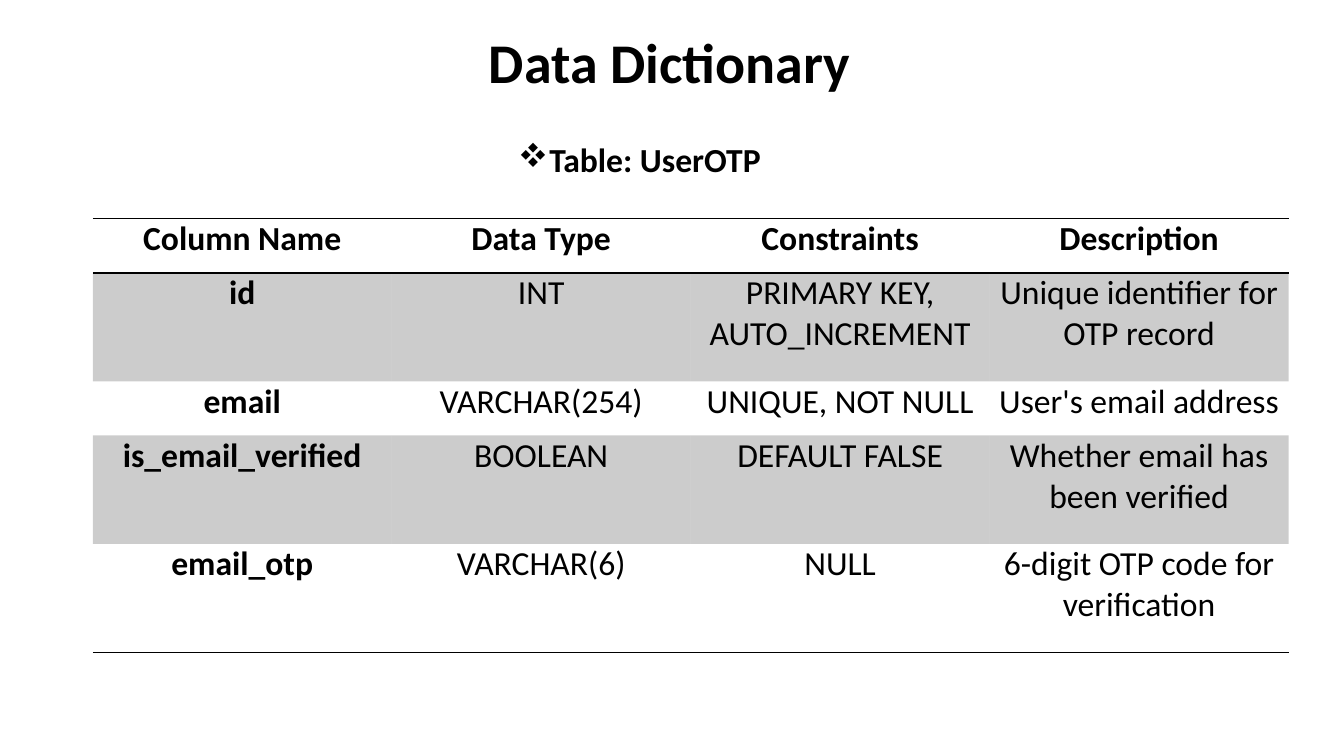
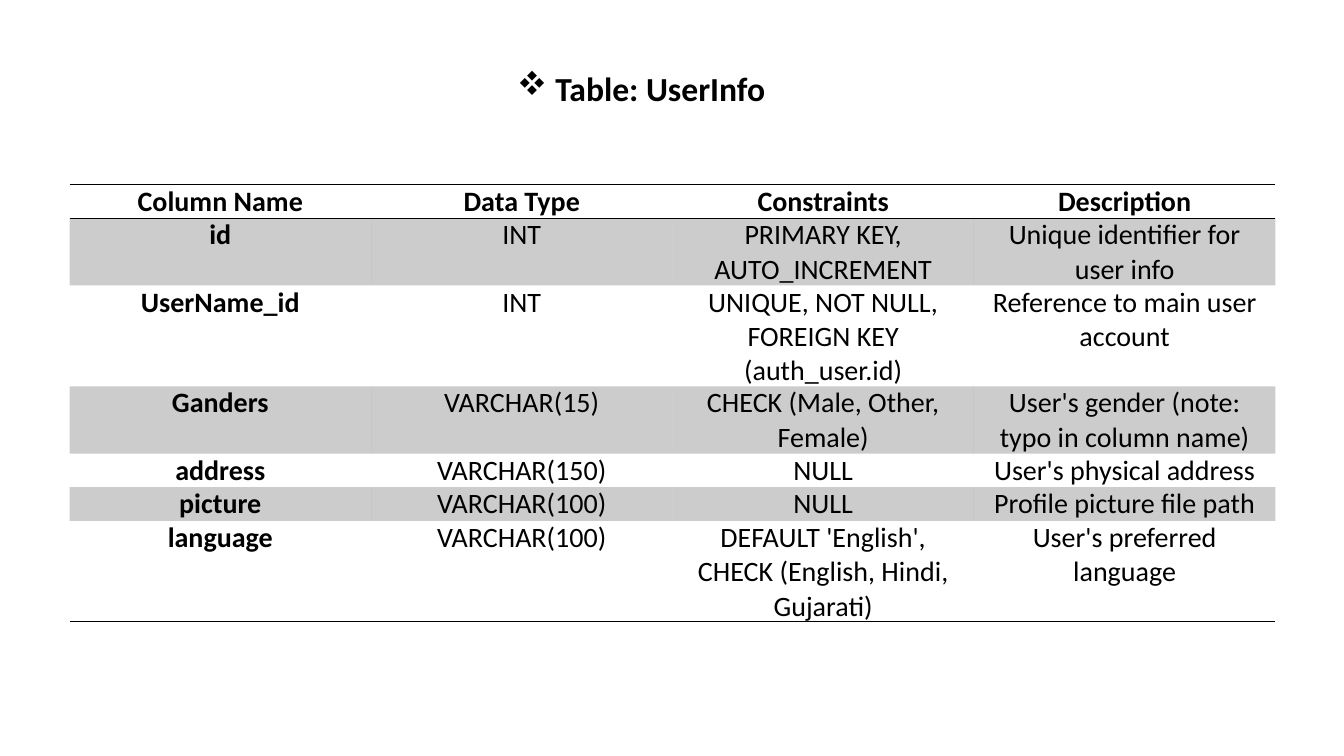
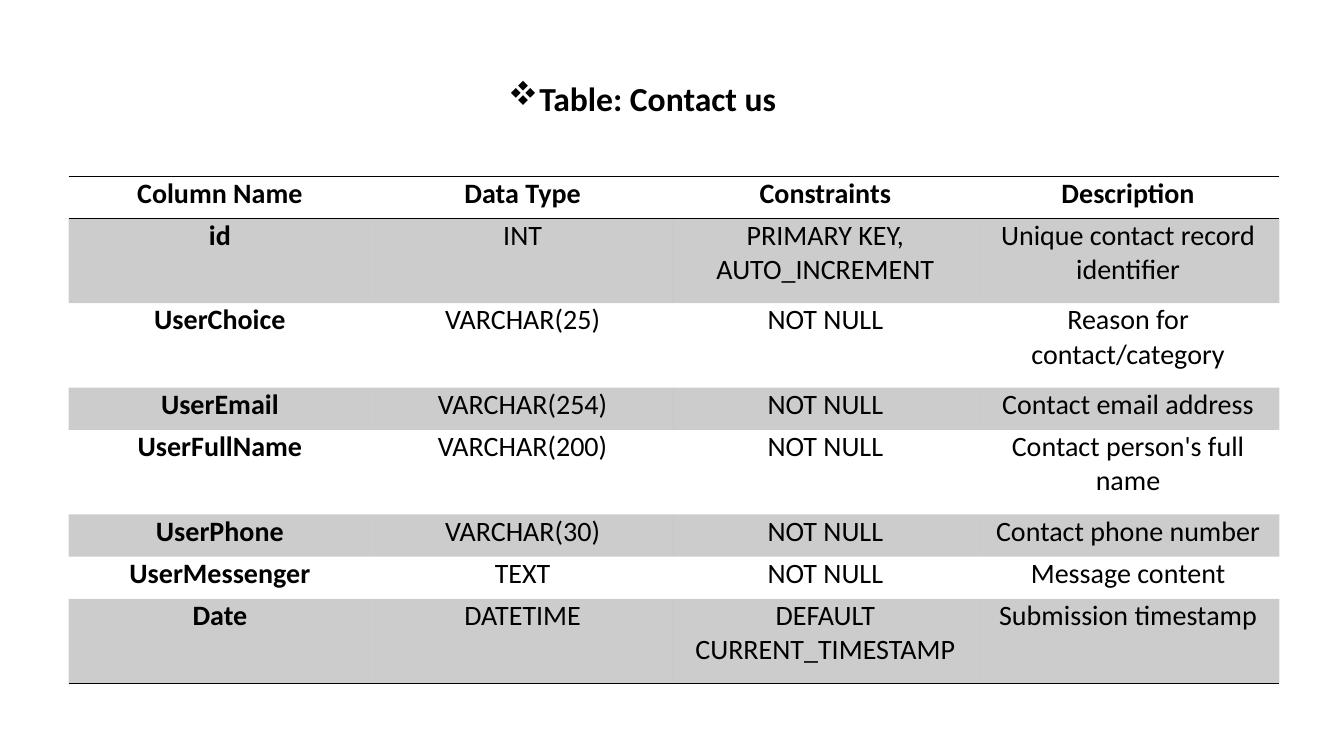
from dataclasses import dataclass

from lxml import etree
from pptx import Presentation
from pptx.dml.color import RGBColor
from pptx.enum import text
from pptx.oxml import ns
from pptx import util as u


@dataclass(frozen=True)
class Theme:
    font: str = "Calibri"
    ink: str = "000000"
    band_alpha: int = 20        # percent
    title_size: int = 40
    caption_size: int = 24
    rule_width: int = 1         # points
    cell_margin: int = 8        # px
    bullet_font: str = "Wingdings"
    bullet: str = "v"           # four diamonds in the bullet font
    table_style: str = "{2D5ABB26-0587-4C30-8999-92F81FD0307C}"  # no style, no grid


THEME = Theme()
PX = 9144                       # EMU in one px, 100 px to the inch
SLIDE_SIZE = (1333, 750)

# Content: boxes are left, top, width, height in px
TITLE = ("Data Dictionary", (475, 22, 383, 77))
HEADINGS = ("Column Name", "Data Type", "Constraints", "Description")

# Each field row begins with the number of text lines it makes room for
ENTITIES = [
    {
        "title": TITLE,
        "caption": ("Table: UserOTP", (504, 133, 264, 50), 31),
        "grid": (92, 217, 1186, 430),
        "size": 24,
        "fields": [
            (2, "id", "INT", "PRIMARY KEY, AUTO_INCREMENT", "Unique identifier for OTP record"),
            (1, "email", "VARCHAR(254)", "UNIQUE, NOT NULL", "User's email address"),
            (2, "is_email_verified", "BOOLEAN", "DEFAULT FALSE", "Whether email has been verified"),
            (2, "email_otp", "VARCHAR(6)", "NULL", "6-digit OTP code for verification"),
        ],
    },
    {
        "caption": ("Table: UserInfo", (503, 62, 268, 50), 38),
        "grid": (69, 183, 1196, 433),
        "size": 20,
        "fields": [
            (2, "id", "INT", "PRIMARY KEY, AUTO_INCREMENT", "Unique identifier for user info"),
            (3, "UserName_id", "INT", "UNIQUE, NOT NULL, FOREIGN KEY (auth_user.id)",
             "Reference to main user account"),
            (2, "Ganders", "VARCHAR(15)", "CHECK (Male, Other, Female)",
             "User's gender (note: typo in column name)"),
            (1, "address", "VARCHAR(150)", "NULL", "User's physical address"),
            (1, "picture", "VARCHAR(100)", "NULL", "Profile picture file path"),
            (3, "language", "VARCHAR(100)", "DEFAULT 'English', CHECK (English, Hindi, Gujarati)",
             "User's preferred language"),
        ],
    },
    {
        "caption": ("Table: Contact us", (494, 72, 289, 50), 31),
        "grid": (68, 175, 1201, 503),
        "size": 20,
        "fields": [
            (2, "id", "INT", "PRIMARY KEY, AUTO_INCREMENT", "Unique contact record identifier"),
            (2, "UserChoice", "VARCHAR(25)", "NOT NULL", "Reason for contact/category"),
            (1, "UserEmail", "VARCHAR(254)", "NOT NULL", "Contact email address"),
            (2, "UserFullName", "VARCHAR(200)", "NOT NULL", "Contact person's full name"),
            (1, "UserPhone", "VARCHAR(30)", "NOT NULL", "Contact phone number"),
            (1, "UserMessenger", "TEXT", "NOT NULL", "Message content"),
            (2, "Date", "DATETIME", "DEFAULT CURRENT_TIMESTAMP", "Submission timestamp"),
        ],
    },
]


def px(length):
    return u.Emu(round(length * PX))


def style(paragraph, size, bold):
    for run in paragraph.runs:
        run.font.name = THEME.font
        run.font.size = u.Pt(size)
        run.font.bold = bold
        run.font.color.rgb = RGBColor.from_string(THEME.ink)


def add_label(slide, words, box, size, hang=0):
    """Bold one-line text; a hang makes it a bulleted line."""
    frame = slide.shapes.add_textbox(*map(px, box)).text_frame
    frame.word_wrap = False
    frame.auto_size = text.MSO_AUTO_SIZE.SHAPE_TO_FIT_TEXT
    frame.text = words
    paragraph = frame.paragraphs[0]
    if hang:
        props = paragraph._p.get_or_add_pPr()
        props.set("marL", str(px(hang)))
        props.set("indent", str(-px(hang)))
        etree.SubElement(props, ns.qn("a:buFont"), typeface=THEME.bullet_font,
                         pitchFamily="2", charset="2")
        etree.SubElement(props, ns.qn("a:buChar"), char=THEME.bullet)
    style(paragraph, size, True)


def add_rule(cell, edge):
    """Draw one horizontal edge: lnT or lnB."""
    line = etree.SubElement(cell._tc.get_or_add_tcPr(), ns.qn(f"a:{edge}"),
                            w=str(u.Pt(THEME.rule_width)))
    fill = etree.SubElement(line, ns.qn("a:solidFill"))
    etree.SubElement(fill, ns.qn("a:srgbClr"), val=THEME.ink)


def shade(cell, banded):
    if not banded:
        cell.fill.background()
        return
    cell.fill.solid()
    cell.fill.fore_color.rgb = RGBColor.from_string(THEME.ink)
    # The cell's own fill, not that of its edges
    colour = cell._tc.tcPr.find(f"{ns.qn('a:solidFill')}/{ns.qn('a:srgbClr')}")
    etree.SubElement(colour, ns.qn("a:alpha"), val=str(THEME.band_alpha * 1000))


def add_dictionary(slide, grid, fields, size):
    rows = [(1, *HEADINGS), *fields]
    left, top, width, height = grid
    table = slide.shapes.add_table(len(rows), len(HEADINGS), *map(px, grid)).table
    table._tbl.tblPr.find(ns.qn("a:tableStyleId")).text = THEME.table_style
    for column in table.columns:
        column.width = px(width / len(HEADINGS))

    line_height = height / sum(row[0] for row in rows)
    for r, (lines, *values) in enumerate(rows):
        table.rows[r].height = px(lines * line_height)
        for c, value in enumerate(values):
            cell = table.cell(r, c)
            cell.margin_left = cell.margin_right = px(THEME.cell_margin)
            cell.margin_top = cell.margin_bottom = 0
            cell.text_frame.text = value
            paragraph = cell.text_frame.paragraphs[0]
            paragraph.alignment = text.PP_ALIGN.CENTER
            style(paragraph, size, r == 0 or c == 0)
            # Rules frame the header and close the table
            if r == 0:
                add_rule(cell, "lnT")
            if r in (0, len(rows) - 1):
                add_rule(cell, "lnB")
            shade(cell, r % 2 == 1)


def main():
    deck = Presentation()
    deck.slide_width, deck.slide_height = map(px, SLIDE_SIZE)
    for entity in ENTITIES:
        slide = deck.slides.add_slide(deck.slide_layouts[6])
        if "title" in entity:
            add_label(slide, *entity["title"], THEME.title_size)
        words, box, hang = entity["caption"]
        add_label(slide, words, box, THEME.caption_size, hang)
        add_dictionary(slide, entity["grid"], entity["fields"], entity["size"])
    deck.save("out.pptx")


if __name__ == "__main__":
    main()
